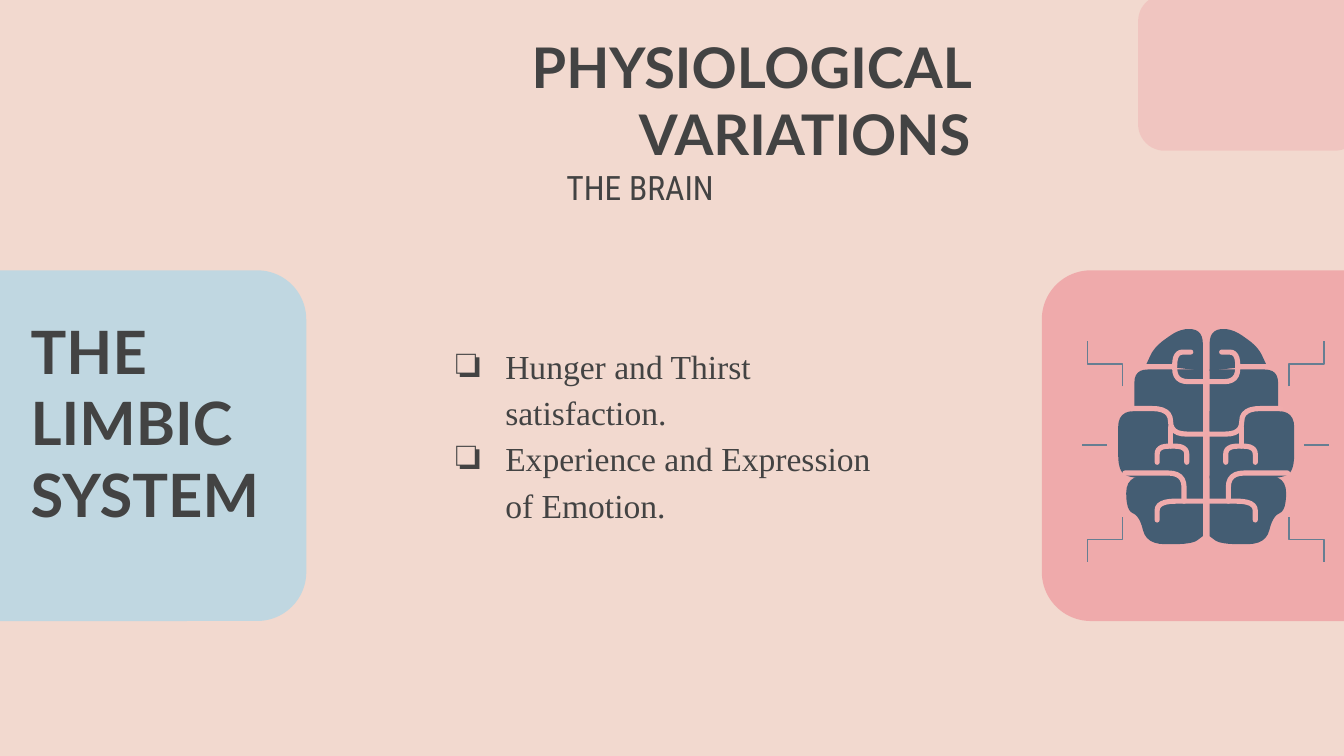
import math
import pptx
import pptx.util
import pptx.dml.color
import pptx.enum.shapes
import pptx.enum.text
import pptx.oxml.ns
import lxml.etree

Cm, Pt = pptx.util.Cm, pptx.util.Pt
RGBColor = pptx.dml.color.RGBColor
MSO_SHAPE = pptx.enum.shapes.MSO_SHAPE
MSO_CONNECTOR = pptx.enum.shapes.MSO_CONNECTOR
PP_ALIGN = pptx.enum.text.PP_ALIGN
MSO_ANCHOR = pptx.enum.text.MSO_ANCHOR
qn = pptx.oxml.ns.qn

CREAM = RGBColor(0xF2, 0xD9, 0xCF)
PINK = RGBColor(0xEE, 0x8C, 0x94)
GROOVE = RGBColor(0xF0, 0xAB, 0xAC)
BLUE = RGBColor(0xAE, 0xD7, 0xE8)
DARK = RGBColor(0x43, 0x43, 0x43)
SLATE = RGBColor(0x44, 0x5D, 0x73)
STEEL = RGBColor(0x66, 0x7E, 0x92)

prs = pptx.Presentation()
prs.slide_width, prs.slide_height = Cm(25.4), Cm(14.29)
s = prs.slides.add_slide(prs.slide_layouts[6])
s.background.fill.solid()
s.background.fill.fore_color.rgb = CREAM

cards = [
    (19.69, 5.11, 9.42, 6.63, 0.14, PINK, 60),
    (-3.63, 5.11, 9.42, 6.63, 0.14, BLUE, 73),
    (21.51, -0.1, 4.22, 2.95, 0.17, PINK, 25),
]
for x, y, w, h, radius, color, opacity in cards:
    sp = s.shapes.add_shape(MSO_SHAPE.ROUNDED_RECTANGLE, Cm(x), Cm(y), Cm(w), Cm(h))
    sp.adjustments[0] = radius
    sp.shadow.inherit = False
    sp.line.fill.background()
    sp.fill.solid()
    sp.fill.fore_color.rgb = color
    srgb = sp._element.spPr.find(".//" + qn("a:srgbClr"))
    lxml.etree.SubElement(srgb, qn("a:alpha"), val=str(opacity * 1000))


def add_line(shapes, kind, x, y, w, h):
    c = shapes.add_connector(kind, Cm(x), Cm(y), Cm(x + w), Cm(y + h))
    c.line.color.rgb = STEEL
    c.line.width = Pt(0.75)
    lxml.etree.SubElement(c._element.spPr, qn("a:effectLst"))
    return c


def round_corners(corners, radius):
    points = [corners[0]]
    for before, corner, after in zip(corners, corners[1:], corners[2:]):
        ends = []
        for other in (before, after):
            k = min(radius / math.dist(corner, other), 0.5)
            ends.append([c + (o - c) * k for c, o in zip(corner, other)])
        for i in range(7):
            t = i / 6
            points.append([(1 - t) ** 2 * a + 2 * t * (1 - t) * c + t * t * b
                           for a, c, b in zip(ends[0], corner, ends[1])])
    return points + [corners[-1]]


brain = s.shapes.add_group_shape()
for x, rot in ((20.46, 90), (24.27, 270)):
    for y, flipped in ((6.55, rot == 90), (9.87, rot == 270)):
        c = add_line(brain.shapes, MSO_CONNECTOR.ELBOW, x, y, 0.85, 0.66)
        xfrm = c._element.spPr.find(qn("a:xfrm"))
        xfrm.set("rot", str(rot * 60000))
        if flipped:
            xfrm.set("flipH", "1")
for x in (20.45, 24.64):
    add_line(brain.shapes, MSO_CONNECTOR.STRAIGHT, x, 8.41, 0.48, 0)

UNIT = Cm(0.0254)
TOP = 246
lobes = [
    (10, [(0, 30), (0, 0), (16, -2), (36, 12), (42, 25)]),
    (10, [(0, 29), (51, 29), (51, 75), (0, 75)]),
    (12, [(0, 60), (63, 60), (63, 104), (54, 110), (0, 110)]),
    (14, [(0, 108), (57, 108), (57, 134), (47, 138), (42, 159), (8, 159), (0, 153)]),
]
grooves = [
    (10, [(9, 16), (21, 16), (21, 38), (0, 38)]),
    (0, [(21, 27), (43, 27)]),
    (14, [(53, 58), (24, 58), (24, 77), (0, 77)]),
    (0, [(24, 72), (24, 86)]),
    (9, [(12, 98), (12, 86), (34, 86), (34, 98)]),
    (12, [(58, 106), (14, 106), (14, 127)]),
    (14, [(0, 127), (34, 127), (34, 141)]),
]
for edge, side in ((900, 1), (895, -1)):
    for parts, filled in ((lobes, True), (grooves, False)):
        for radius, corners in parts:
            points = [(round((edge + side * x) * UNIT), round((TOP + y) * UNIT))
                      for x, y in round_corners(corners, radius)]
            fb = brain.shapes.build_freeform(*points[0])
            fb.add_line_segments(points[1:], close=filled)
            sp = fb.convert_to_shape()
            sp.shadow.inherit = False
            if filled:
                sp.fill.solid()
                sp.fill.fore_color.rgb = SLATE
                sp.line.fill.background()
            else:
                sp.fill.background()
                sp.line.color.rgb = GROOVE
                sp.line.width = Pt(2.75)
                sp._element.spPr.find(qn("a:ln")).set("cap", "rnd")

frame = dict(word_wrap=True, margin_left=Cm(0.25), margin_right=Cm(0.25),
             margin_top=Cm(0.25), margin_bottom=Cm(0.25))
limbic = dict(name="Lato", size=Pt(32), bold=True)
heading = dict(name="Lato", size=Pt(30), bold=True)
subheading = dict(name="Roboto Condensed", size=Pt(18), bold=False)
body = dict(name="Times New Roman", size=Pt(18))
left, spaced = dict(alignment=PP_ALIGN.LEFT), dict(line_spacing=1.15)
texts = [
    ((0.33, 6.88, 5.11, 3.38), MSO_ANCHOR.BOTTOM, [
        ("THE LIMBIC", limbic, left, None),
        ("SYSTEM", limbic, left, None)]),
    ((5.61, 0.36, 12.98, 4.22), MSO_ANCHOR.TOP, [
        ("PHYSIOLOGICAL VARIATIONS", heading, dict(alignment=PP_ALIGN.RIGHT), None),
        ("THE BRAIN", subheading, dict(alignment=PP_ALIGN.CENTER), None)]),
    ((8.03, 6.17, 8.73, 4.83), MSO_ANCHOR.TOP, [
        ("Hunger and Thirst satisfaction.", body, spaced, "❏"),
        ("Experience and Expression of Emotion.", body, spaced, "❏")]),
]
for box, anchor, paragraphs in texts:
    tf = s.shapes.add_textbox(*[Cm(v) for v in box]).text_frame
    for key, value in dict(frame, vertical_anchor=anchor).items():
        setattr(tf, key, value)
    for i, (text, font, layout, bullet) in enumerate(paragraphs):
        p = tf.add_paragraph() if i else tf.paragraphs[0]
        if bullet:
            pPr = p._p.get_or_add_pPr()
            pPr.set("marL", str(Cm(1.27)))
            pPr.set("indent", str(Cm(-0.95)))
            clr = lxml.etree.SubElement(pPr, qn("a:buClr"))
            lxml.etree.SubElement(clr, qn("a:srgbClr"), val=str(DARK))
            lxml.etree.SubElement(pPr, qn("a:buFont"), typeface=font["name"])
            lxml.etree.SubElement(pPr, qn("a:buChar"), char=bullet)
        for key, value in layout.items():
            setattr(p, key, value)
        r = p.add_run()
        r.text = text
        for key, value in font.items():
            setattr(r.font, key, value)
        r.font.color.rgb = DARK

prs.save("out.pptx")
